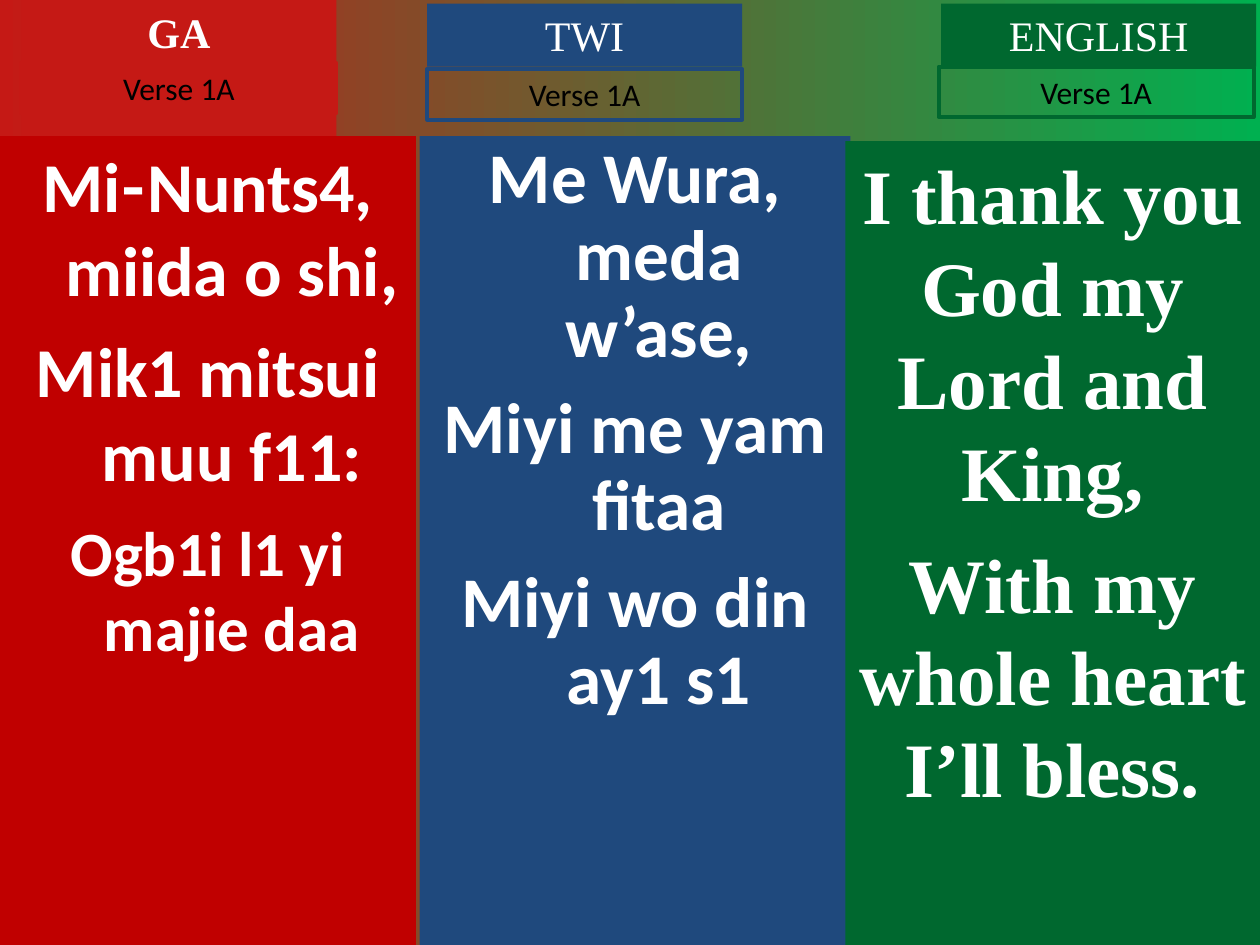
import pptx
import pptx.dml.color
import pptx.enum.shapes
import pptx.enum.text
import pptx.util
from lxml import etree

Inches, Pt = pptx.util.Inches, pptx.util.Pt
AUTO = pptx.enum.text.MSO_AUTO_SIZE
SERIF, SANS = "Times New Roman", "Calibri"
WHITE, BLACK = "FFFFFF", "000000"
HEAD_W, HEAD_H, VERSE_H = 2.5, 0.5, 0.4
HANG = 0.38
A_NS = "http://schemas.openxmlformats.org/drawingml/2006/main"


def rgb(value):
    return pptx.dml.color.RGBColor.from_string(value)


def place(sp, left, top, width, height):
    sp.left, sp.top = Inches(left), Inches(top)
    sp.width, sp.height = Inches(width), Inches(height)


def add_rect(slide):
    sp = slide.shapes.add_shape(pptx.enum.shapes.MSO_SHAPE.RECTANGLE, 0, 0, 0, 0)
    sp.shadow.inherit = False
    sp.line.fill.background()
    return sp


def paint(sp, color):
    sp.fill.solid()
    sp.fill.fore_color.rgb = rgb(color)


def prepare_text(sp, auto_size):
    tf = sp.text_frame
    tf.word_wrap = True
    tf.auto_size = auto_size
    tf.vertical_anchor = pptx.enum.text.MSO_ANCHOR.TOP
    tf.margin_left = tf.margin_right = Inches(0.1)
    tf.margin_top = tf.margin_bottom = Inches(0.05)
    return tf


def add_run(p, text, size, font, color, bold=False):
    r = p.add_run()
    r.text = text
    r.font.size, r.font.name, r.font.bold = Pt(size), font, bold
    r.font.color.rgb = rgb(color)


def add_label(sp, text, size, font, color, bold=False):
    """Fill a one-line box with centred text."""
    p = prepare_text(sp, AUTO.SHAPE_TO_FIT_TEXT).paragraphs[0]
    p.alignment = pptx.enum.text.PP_ALIGN.CENTER
    add_run(p, text, size, font, color, bold)


def add_header(slide, sp, left, top, text, color, bold=False):
    place(sp, left, top, HEAD_W, HEAD_H)
    paint(sp, color)
    add_label(sp, text, 24, SERIF, WHITE, bold)


def add_verse_box(slide, left, top, color):
    sp = add_rect(slide)
    place(sp, left, top, HEAD_W, VERSE_H)
    sp.fill.background()
    sp.line.color.rgb = rgb(color)
    sp.line.width = Pt(2.25)
    add_label(sp, "Verse 1A", 18, SANS, BLACK)


def add_lyrics(slide, sp, left, top, width, color, lines, gap, hang=0, spacing=1.0):
    """Fill a column down to the slide's foot; a line is (size, [(text, font), ...])."""
    place(sp, left, top, width, 7.5 - top)
    paint(sp, color)
    tf = prepare_text(sp, AUTO.NONE)
    for i, (size, runs) in enumerate(lines):
        p = tf.add_paragraph() if i else tf.paragraphs[0]
        p.alignment = pptx.enum.text.PP_ALIGN.CENTER
        p.line_spacing = spacing
        p.space_before = Pt(gap if i else 0)
        pPr = p._p.get_or_add_pPr()
        pPr.set("marL", str(Inches(hang)))
        pPr.set("indent", str(-Inches(hang)))
        etree.SubElement(pPr, f"{{{A_NS}}}buNone")
        for text, font in runs:
            add_run(p, text, size, font, WHITE, True)


def set_background(slide):
    fill = slide.background.fill
    fill.gradient()
    fill.gradient_angle = 0
    for stop, position, color in zip(fill.gradient_stops, (0, 1), ("C51915", "00B050")):
        stop.position = position
        stop.color.rgb = rgb(color)


def main():
    prs = pptx.Presentation()
    prs.slide_width, prs.slide_height = Inches(10), Inches(7.5)
    slide = prs.slides.add_slide(prs.slide_layouts[3])
    set_background(slide)
    title, ga_body, twi_body = slide.placeholders

    ga = [
        (40, [("Mi", SANS), ("-", "Lato"), ("Nunts4, miida o shi,", SANS)]),
        (40, [("Mik1 mitsui muu f11:", SANS)]),
        (36, [("Ogb1i l1 yi majie daa", SANS)]),
    ]
    twi = [(40.7, [(text, SANS)]) for text in (
        "Me Wura, meda w’ase,", "Miyi me yam fitaa", "Miyi wo din ay1 s1")]
    english = [(44, [(text, SERIF)]) for text in (
        "I thank you God my Lord and King,", "With my whole heart I’ll bless.")]

    add_lyrics(slide, ga_body, 0, 1.08, 3.3, "C00000", ga, 10, HANG)
    add_lyrics(slide, twi_body, 3.33, 1.08, 3.42, "1F497D", twi, 11, HANG, 0.9)
    add_lyrics(slide, add_rect(slide), 6.71, 1.12, 3.29, "00682F", english, 11)

    add_header(slide, title, 0.17, 0, "GA", "C51915", True)
    add_header(slide, add_rect(slide), 3.39, 0.03, "TWI", "1F497D")
    add_header(slide, add_rect(slide), 7.47, 0.03, "ENGLISH", "00682F")

    for left, top, color in ((0.17, 0.5, "C51915"), (3.39, 0.55, "1F497D"),
                             (7.45, 0.53, "00682F")):
        add_verse_box(slide, left, top, color)

    prs.save("out.pptx")


if __name__ == "__main__":
    main()
